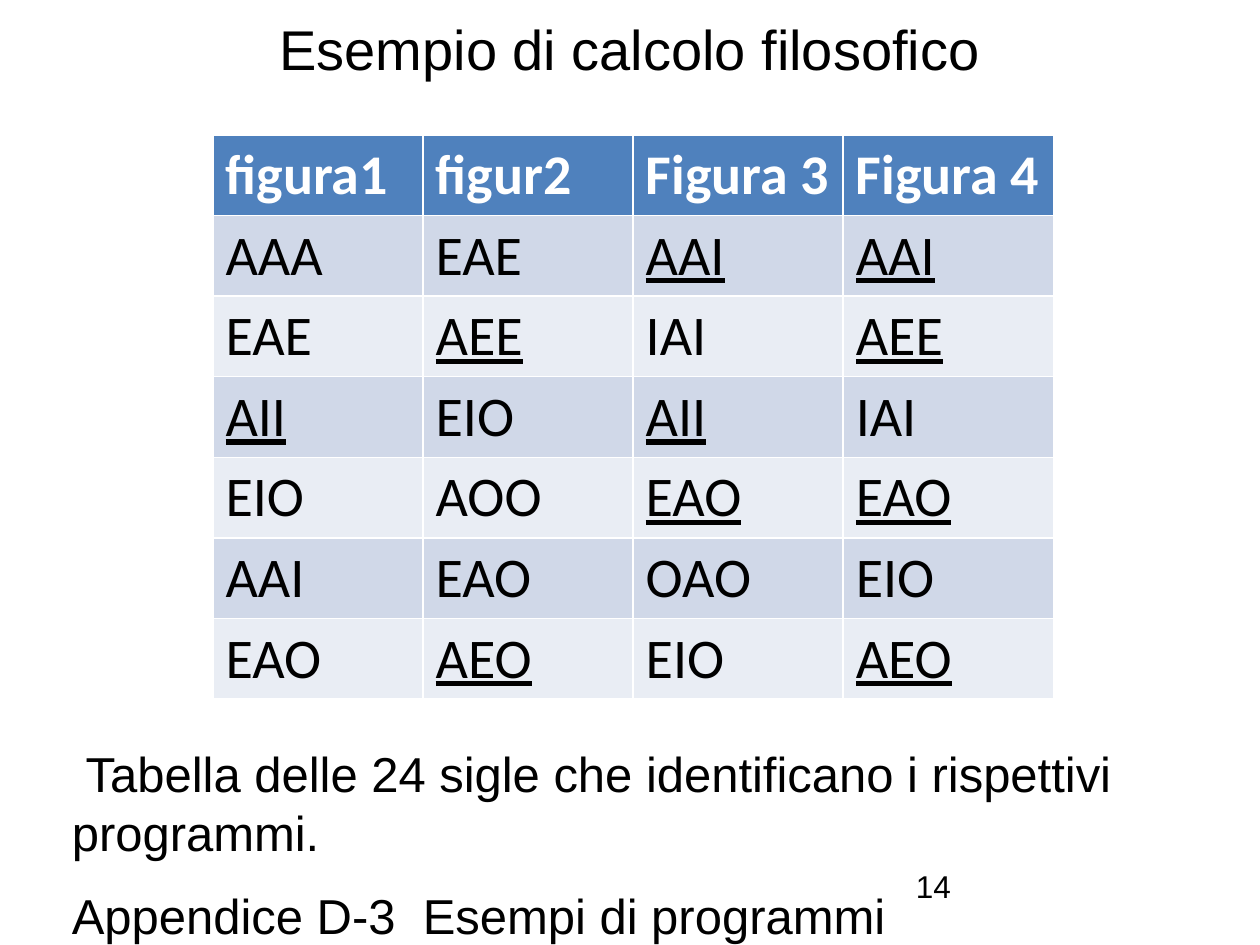
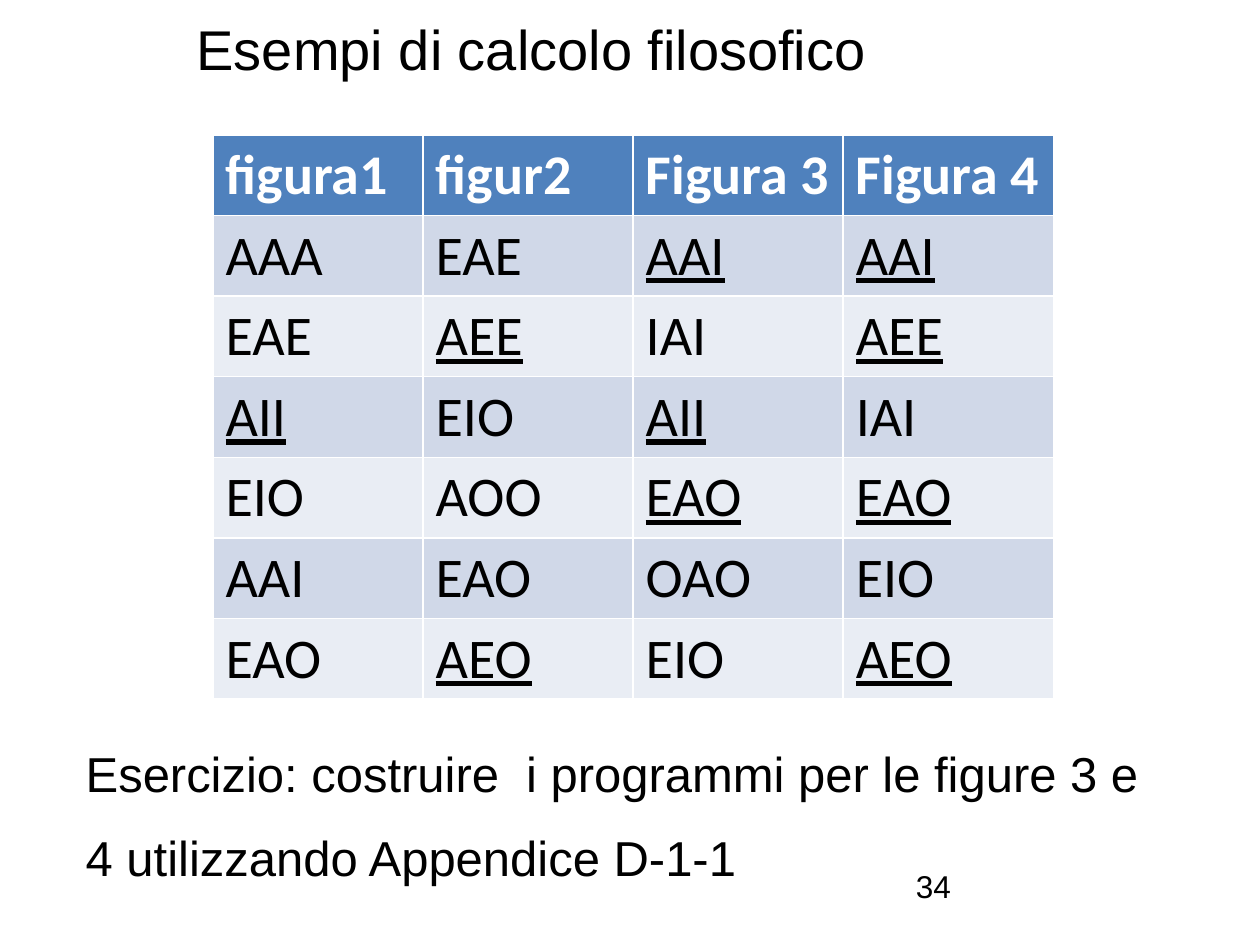
from lxml.etree import SubElement
from pptx import Presentation
from pptx.dml.color import RGBColor
from pptx.enum.text import MSO_ANCHOR, MSO_AUTO_SIZE, PP_ALIGN
from pptx.oxml.ns import qn
from pptx.util import Inches, Pt

BLACK = RGBColor(0x00, 0x00, 0x00)
WHITE = RGBColor(0xFF, 0xFF, 0xFF)
HEADER = RGBColor(0x4F, 0x81, 0xBD)
BANDS = [RGBColor(0xE9, 0xED, 0xF4), RGBColor(0xD0, 0xD8, 0xE8)]

# Syllogism codes by figure; a leading underscore marks an underlined code
ROWS = [
    ["figura1", "figur2", "Figura 3", "Figura 4"],
    ["AAA", "EAE", "_AAI", "_AAI"],
    ["EAE", "_AEE", "IAI", "_AEE"],
    ["_AII", "EIO", "_AII", "IAI"],
    ["EIO", "AOO", "_EAO", "_EAO"],
    ["AAI", "EAO", "OAO", "EIO"],
    ["EAO", "_AEO", "EIO", "_AEO"],
]

# Body lines are (text, left margin, first-line indent)
SLIDES = [
    dict(title="Esempio di calcolo filosofico", left=0.5, width=9, number="14",
         lines=[("Tabella delle 24 sigle che identificano i rispettivi programmi.", 0.12, 0.11),
                ("Appendice D-3  Esempi di programmi", 0.12, 0)]),
    dict(title="Esempi di calcolo filosofico", left=-0.43, width=9.3, number="34",
         lines=[("Esercizio: costruire  i programmi per le figure 3 e", 0.23, 0),
                ("4 utilizzando Appendice D-1-1", 0.23, 0)]),
]


def write(p, text, size, font="Arial", color=BLACK, bold=False, underline=False):
    r = p.add_run()
    r.text = text
    r.font.name = font
    r.font.size = Pt(size)
    r.font.color.rgb = color
    r.font.bold = bold
    r.font.underline = underline


def place(sp, left, top, width, height):
    sp.left, sp.top = Inches(left), Inches(top)
    sp.width, sp.height = Inches(width), Inches(height)


prs = Presentation()
prs.slide_width, prs.slide_height = Inches(10), Inches(7.5)

for content in SLIDES:
    s = prs.slides.add_slide(prs.slide_layouts[1])

    # Title
    title = s.shapes.title
    place(title, content["left"], 0, content["width"], 0.76)
    tf = title.text_frame
    tf.auto_size = MSO_AUTO_SIZE.NONE
    tf.vertical_anchor = MSO_ANCHOR.MIDDLE
    tf.paragraphs[0].alignment = PP_ALIGN.CENTER
    write(tf.paragraphs[0], content["title"], 32)

    # Body text under the table
    body = s.placeholders[1]
    place(body, 0.35, 5.85, 9.15, 1.65)
    tf = body.text_frame
    tf.auto_size = MSO_AUTO_SIZE.NONE
    for i, (text, margin, indent) in enumerate(content["lines"]):
        p = tf.add_paragraph() if i else tf.paragraphs[0]
        p.space_before, p.space_after = Pt(0), Pt(14.2)
        pPr = p._p.get_or_add_pPr()
        pPr.set("marL", str(Inches(margin)))
        pPr.set("indent", str(Inches(indent)))
        SubElement(pPr, qn("a:buNone"))
        write(p, text, 28)

    # Page number
    box = s.shapes.add_textbox(Inches(7.17), Inches(6.83), Inches(2.33), Inches(0.52))
    box.text_frame.word_wrap = True
    write(box.text_frame.paragraphs[0], content["number"], 18)

    # Table of codes; the default table style draws the white borders
    table = s.shapes.add_table(len(ROWS), len(ROWS[0]), Inches(1.69), Inches(1.07),
                               Inches(6.67), Inches(4.48)).table
    for i, row in enumerate(ROWS):
        for j, code in enumerate(row):
            cell = table.cell(i, j)
            cell.fill.solid()
            cell.fill.fore_color.rgb = BANDS[i % 2] if i else HEADER
            write(cell.text_frame.paragraphs[0], code.lstrip("_"), 32, font="Calibri",
                  color=BLACK if i else WHITE, bold=i == 0, underline=code.startswith("_"))

prs.save("out.pptx")
